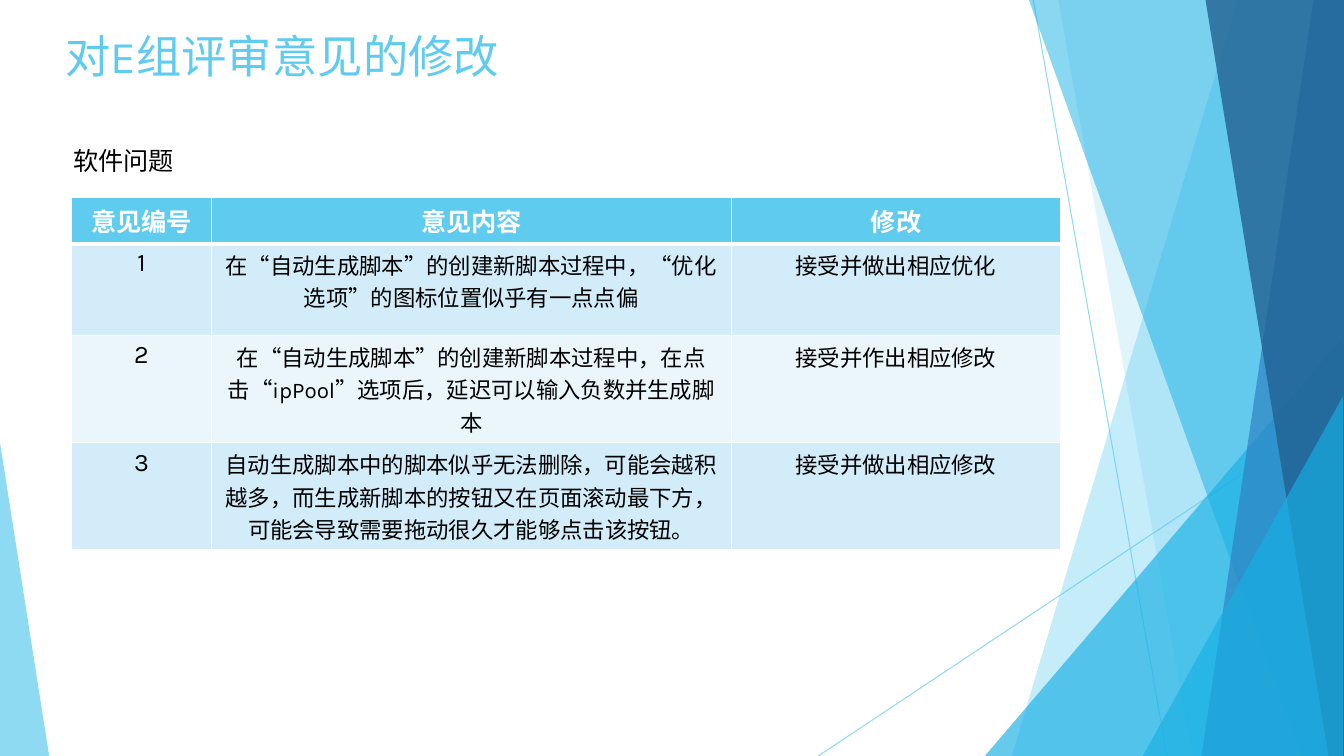
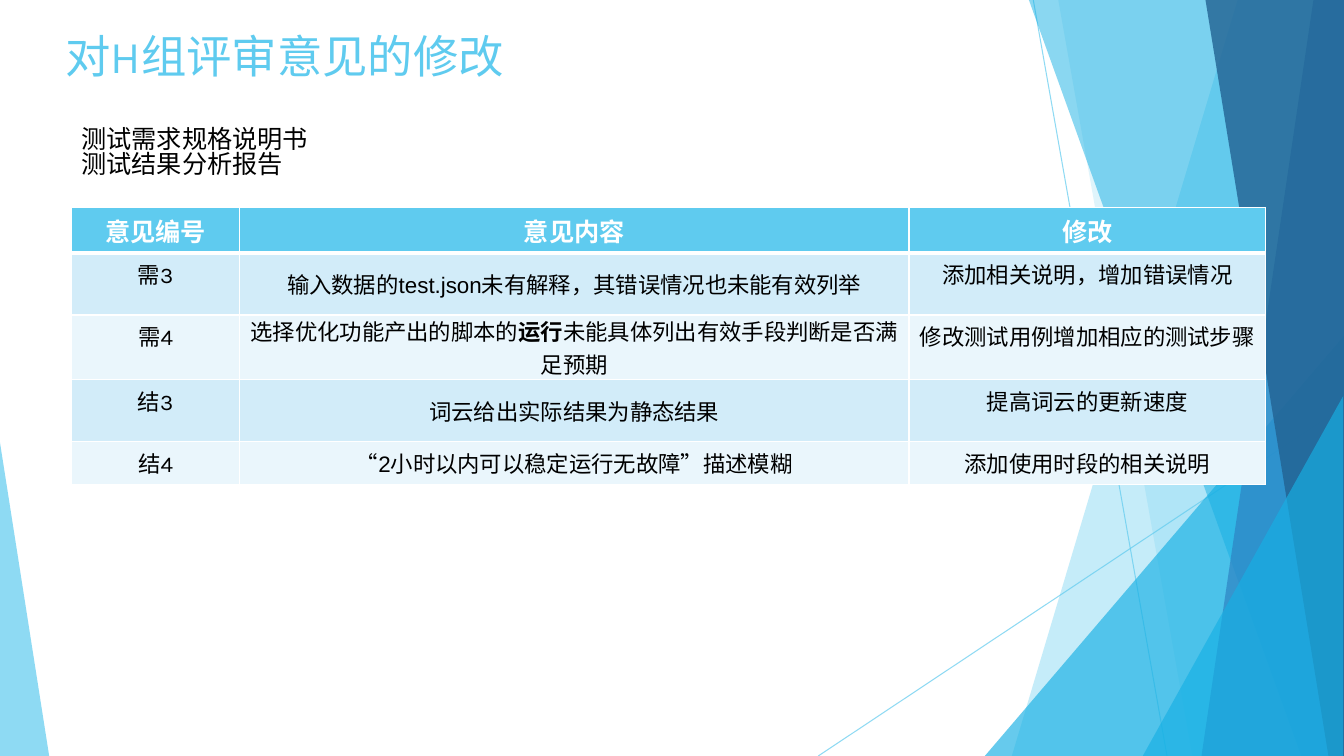
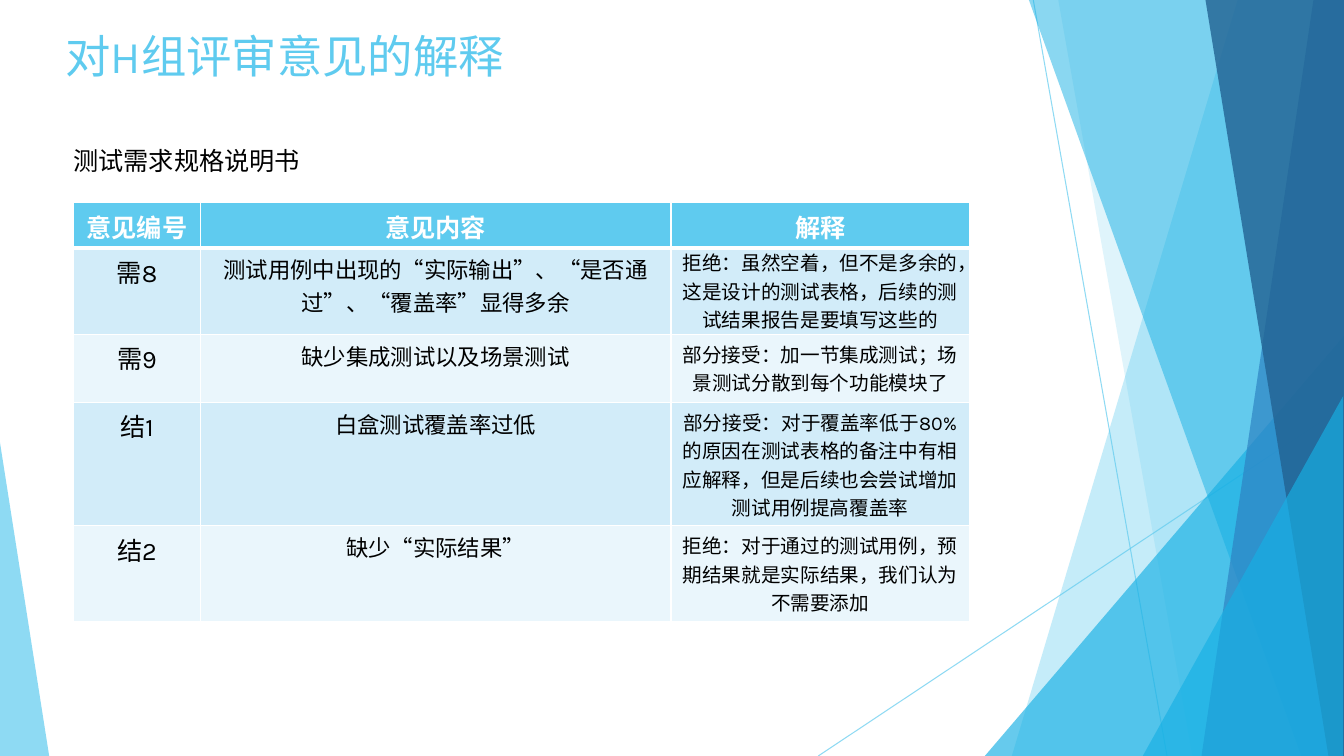
from lxml import etree
from pptx import Presentation
from pptx.dml.color import RGBColor
from pptx.enum.lang import MSO_LANGUAGE_ID
from pptx.enum.shapes import MSO_CONNECTOR, MSO_SHAPE
from pptx.enum.text import MSO_ANCHOR, MSO_AUTO_SIZE, PP_ALIGN
from pptx.oxml.ns import qn
from pptx.util import Cm, Pt

TRIANGLE, STRAIGHT = MSO_SHAPE.ISOSCELES_TRIANGLE, MSO_CONNECTOR.STRAIGHT
TOP, MIDDLE = MSO_ANCHOR.TOP, MSO_ANCHOR.MIDDLE
LEFT, CENTER = PP_ALIGN.LEFT, PP_ALIGN.CENTER
GROW = MSO_AUTO_SIZE.SHAPE_TO_FIT_TEXT
CHINESE = MSO_LANGUAGE_ID.SIMPLIFIED_CHINESE

COLORS = {
    "sky": "5FCBEF", "cyan": "17B0E4", "blue": "2E83C3", "navy": "226292",
    "odd_row": "D2ECF9", "even_row": "EAF6FC", "white": "FFFFFF", "black": "000000",
}
WIDTH, HEIGHT = 33.87, 19.05

# Rays: start x, start y, end x, end y
RAYS = [(26.04, 0, 29.41, HEIGHT), (WIDTH, 10.24, 20.62, HEIGHT)]
# Bands reach the right edge: top x, bottom x
# Triangles stand on the bottom edge: left, top, width, apex
FACETS = [
    ("band", (31.19, 25.5), "sky", 36),
    ("band", (26.67, 30.05), "sky", 20),
    ("triangle", (24.82, 8.46, 9.05, 1), "cyan", 66),
    ("band", (25.93, 32.79), "cyan", 50),
    ("band", (33.1, 30.28), "blue", 70),
    ("band", (30.38, 33.48), "navy", 80),
    ("triangle", (28.8, 9.98, 5.05, 1), "cyan", 66),
    ("triangle", (0, 11.15, 1.24, 0), "sky", 70),
]

# Text between bars is bold; tight cells (row, column) have small margins and Arial
PAGES = [
    {
        "title": "对E组评审意见的修改",
        "subtitle": "软件问题", "subtitle_at": (1.6, 3.53),
        "table_at": (1.8, 4.98),
        "columns": [3.53, 13.1, 8.3], "heights": [1.16, 2.32, 2.7, 2.7],
        "sizes": [18, 16, 16], "tight": [], "tight_anchor": TOP,
        "rows": [
            ["意见编号", "意见内容", "修改"],
            ["1", "在“自动生成脚本”的创建新脚本过程中，“优化选项”的图标位置似乎有一点点偏",
             "接受并做出相应优化"],
            ["2", "在“自动生成脚本”的创建新脚本过程中，在点击“ipPool”选项后，延迟可以输入负数并生成脚本",
             "接受并作出相应修改"],
            ["3", "自动生成脚本中的脚本似乎无法删除，可能会越积越多，而生成新脚本的按钮又在页面滚动最下方，"
             "可能会导致需要拖动很久才能够点击该按钮。", "接受并做出相应修改"],
        ],
    },
    {
        "title": "对H组评审意见的修改",
        "subtitle": "测试需求规格说明书\n测试结果分析报告", "subtitle_at": (1.8, 3.12),
        "table_at": (1.8, 5.23),
        "columns": [4.24, 16.87, 8.99], "heights": [1.14, 1.57, 1.62, 1.57, 1.07],
        "sizes": [16, 16, 16],
        "tight": [(1, 1), (2, 1), (3, 1), (4, 1)], "tight_anchor": MIDDLE,
        "rows": [
            ["意见编号", "意见内容", "修改"],
            ["需3", "输入数据的test.json未有解释，其错误情况也未能有效列举", "添加相关说明，增加错误情况"],
            ["需4", "选择优化功能产出的脚本的|运行|未能具体列出有效手段判断是否满足预期",
             "修改测试用例增加相应的测试步骤"],
            ["结3", "词云给出实际结果为静态结果", "提高词云的更新速度"],
            ["结4", "“2小时以内可以稳定运行无故障”描述模糊", "添加使用时段的相关说明"],
        ],
    },
    {
        "title": "对H组评审意见的解释",
        "subtitle": "测试需求规格说明书", "subtitle_at": (1.6, 3.53),
        "table_at": (1.85, 5.11),
        "columns": [3.2, 11.86, 7.52], "heights": [1.14, 2.17, 1.72, 3.11, 2.42],
        "sizes": [18, 16, 14], "tight": [(1, 2)], "tight_anchor": TOP,
        "rows": [
            ["意见编号", "意见内容", "解释"],
            ["需8", "测试用例中出现的“实际输出”、“是否通过”、“覆盖率”显得多余",
             "拒绝：虽然空着，但不是多余的，这是设计的测试表格，后续的测试结果报告是要填写这些的"],
            ["需9", "缺少集成测试以及场景测试", "部分接受：加一节集成测试；场景测试分散到每个功能模块了"],
            ["结1", "白盒测试覆盖率过低",
             "部分接受：对于覆盖率低于80%的原因在测试表格的备注中有相应解释，但是后续也会尝试增加测试用例提高覆盖率"],
            ["结2", "缺少“实际结果”", "拒绝：对于通过的测试用例，预期结果就是实际结果，我们认为不需要添加"],
        ],
    },
]


def write_text(frame, text, size=18, color="black", font="Karla", bold=False,
               align=LEFT, spacing=None):
    """Fill a text frame, one paragraph a line, with bold text between bars."""
    frame.word_wrap = True
    for index, line in enumerate(text.split("\n")):
        para = frame.paragraphs[0] if index == 0 else frame.add_paragraph()
        para.alignment = align
        para.line_spacing = spacing
        for part, words in enumerate(line.split("|")):
            span = para.add_run()
            span.text = words
            span.font.size = Pt(size)
            span.font.name = font
            span.font.bold = bold or part % 2 == 1
            span.font.color.rgb = RGBColor.from_string(COLORS[color])
            span.font.language_id = CHINESE


def set_opacity(shape, percent):
    """Make the one colour of a shape partly transparent."""
    tint = shape._element.spPr.find(".//" + qn("a:srgbClr"))
    etree.SubElement(tint, qn("a:alpha"), val=str(percent * 1000))


deck = Presentation()
deck.slide_width, deck.slide_height = Cm(WIDTH), Cm(HEIGHT)

for content in PAGES:
    page = deck.slides.add_slide(deck.slide_layouts[6])

    # Background facets
    for ray in RAYS:
        line = page.shapes.add_connector(STRAIGHT, *map(Cm, ray))
        line.line.color.rgb = RGBColor.from_string(COLORS["sky"])
        line.line.width = Pt(0.75)
        set_opacity(line, 70)
        etree.SubElement(line._element.spPr, qn("a:effectLst"))
    for kind, place, color, opacity in FACETS:
        if kind == "band":
            top_x, bottom_x = place
            outline = page.shapes.build_freeform(Cm(top_x), 0)
            corners = [(WIDTH, 0), (WIDTH, HEIGHT), (bottom_x, HEIGHT)]
            outline.add_line_segments([(Cm(x), Cm(y)) for x, y in corners])
            facet = outline.convert_to_shape()
        else:
            left, top, width, apex = place
            facet = page.shapes.add_shape(
                TRIANGLE, Cm(left), Cm(top), Cm(width), Cm(HEIGHT - top))
            facet.adjustments[0] = apex
        facet.shadow.inherit = False
        facet.fill.solid()
        facet.fill.fore_color.rgb = RGBColor.from_string(COLORS[color])
        facet.line.fill.background()
        set_opacity(facet, opacity)

    # Title
    title = page.shapes.add_textbox(Cm(1.4), Cm(0.79), Cm(14.25), Cm(1.19))
    title.text_frame.vertical_anchor = MIDDLE
    write_text(title.text_frame, content["title"], size=32.4, color="sky")

    # Review table
    columns, heights = content["columns"], content["heights"]
    left, top = content["table_at"]
    table = page.shapes.add_table(
        len(heights), len(columns), Cm(left), Cm(top),
        Cm(sum(columns)), Cm(sum(heights))).table
    for column, width in zip(table.columns, columns):
        column.width = Cm(width)
    for row, (height, texts) in enumerate(zip(heights, content["rows"])):
        table.rows[row].height = Cm(height)
        header = row == 0
        fill = "sky" if header else "odd_row" if row % 2 else "even_row"
        borders = {"lnL": 1, "lnR": 1, "lnT": 3 if row == 1 else 1, "lnB": 3 if header else 1}
        for column, text in enumerate(texts):
            cell = table.cell(row, column)
            properties = cell._tc.get_or_add_tcPr()
            for side, points in borders.items():
                border = etree.SubElement(properties, qn("a:" + side), w=str(Pt(points)))
                paint = etree.SubElement(border, qn("a:solidFill"))
                etree.SubElement(paint, qn("a:srgbClr"), val=COLORS["white"])
            cell.fill.solid()
            cell.fill.fore_color.rgb = RGBColor.from_string(COLORS[fill])
            tight = (row, column) in content["tight"]
            if tight:
                cell.margin_left = cell.margin_right = Cm(0.19)
                cell.margin_top = cell.margin_bottom = 0
                cell.vertical_anchor = content["tight_anchor"]
            write_text(cell.text_frame, text, align=CENTER, bold=header,
                       size=18 if header else content["sizes"][column],
                       color="white" if header else "black",
                       font="Arial" if tight else "Karla")

    # Name of the reviewed document
    left, top = content["subtitle_at"]
    lines = content["subtitle"].count("\n") + 1
    subtitle = page.shapes.add_textbox(Cm(left), Cm(top), Cm(8.48), Cm(1.04 * lines))
    subtitle.text_frame.auto_size = GROW
    write_text(subtitle.text_frame, content["subtitle"],
               spacing=0.83 if lines > 1 else None)

deck.save("out.pptx")
